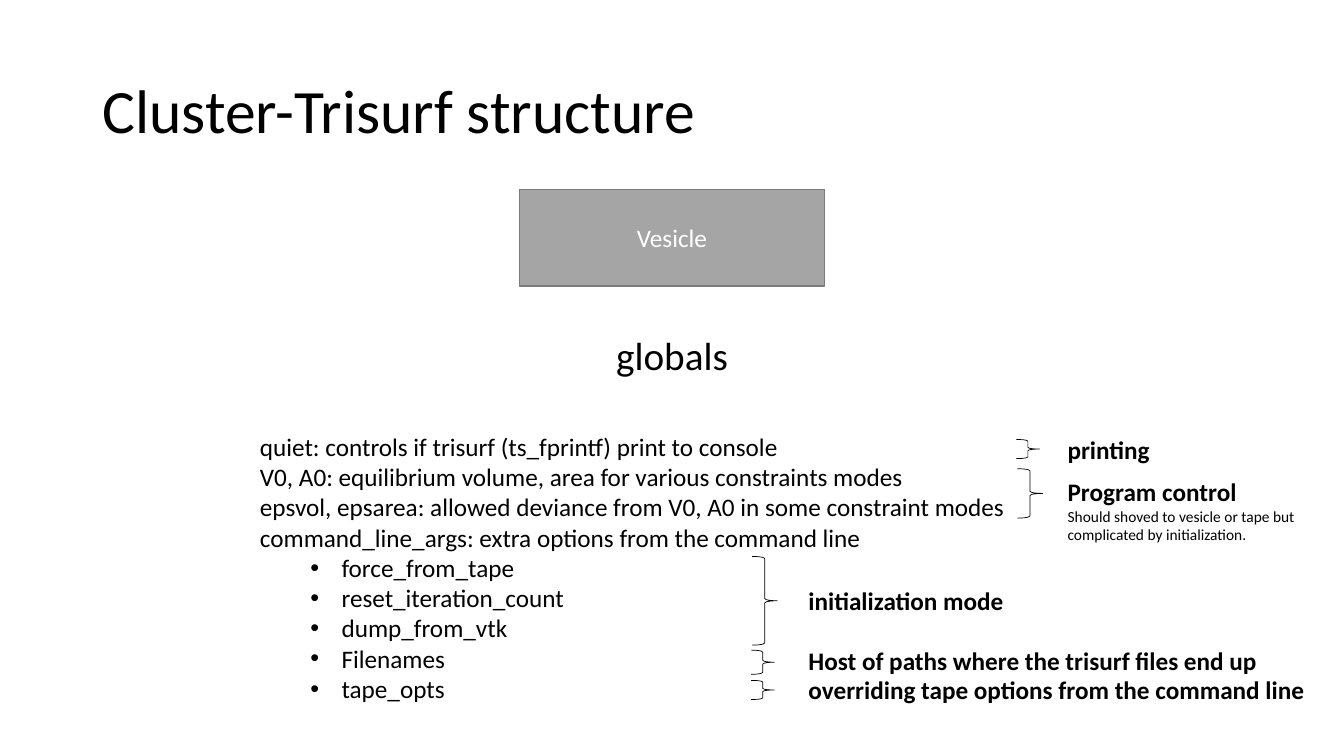
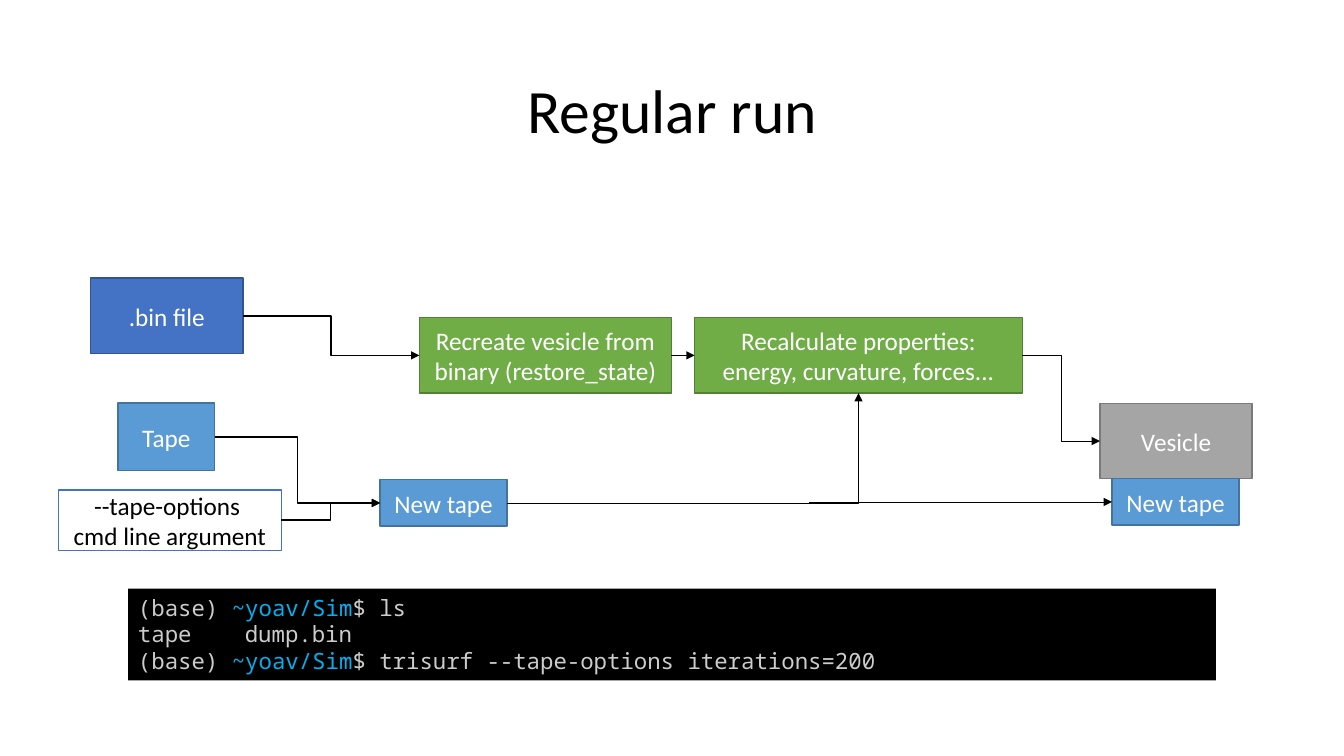
from dataclasses import dataclass
from lxml.etree import SubElement
from pptx import Presentation
from pptx.dml.color import RGBColor
from pptx.enum.shapes import MSO_CONNECTOR, MSO_SHAPE
from pptx.enum.text import MSO_ANCHOR, PP_ALIGN
from pptx.oxml import parse_xml
from pptx.oxml.ns import nsdecls, qn
from pptx.util import Inches, Pt


@dataclass(frozen=True)
class Theme:
    font: str = "Calibri"
    mono: str = "Noto Sans Mono"
    title: int = 44
    head: int = 28
    body: int = 18
    code: int = 16
    note: int = 11
    ink: str = "000000"
    white: str = "FFFFFF"
    text: str = "CCCCCC"
    prompt: str = "00B0F0"
    # Each box style is fill, outline, text colour
    gray: tuple = ("A5A5A5", "7A7A7A", "FFFFFF")
    blue: tuple = ("4472C4", "325491", "FFFFFF")
    sky: tuple = ("5B9BD5", "43739E", "FFFFFF")
    green: tuple = ("70AD47", "538035", "FFFFFF")
    plain: tuple = ("FFFFFF", "4472C4", "000000")


T = Theme()
RGB = RGBColor.from_string


def put_text(slide, spot, text, size=T.body, bold=False, align=PP_ALIGN.LEFT,
             anchor=MSO_ANCHOR.TOP, style=None):
    """Add text, set in a rectangle when a box style is given."""
    place = [Inches(n) for n in spot]
    ink = T.ink
    if style:
        fill, edge, ink = style
        shape = slide.shapes.add_shape(MSO_SHAPE.RECTANGLE, *place)
        shape.shadow.inherit = False
        shape.fill.solid()
        shape.fill.fore_color.rgb = RGB(fill)
        shape.line.color.rgb = RGB(edge)
        shape.line.width = Pt(1)
        align, anchor = PP_ALIGN.CENTER, MSO_ANCHOR.MIDDLE
    else:
        shape = slide.shapes.add_textbox(*place)
    frame = shape.text_frame
    frame.word_wrap = True
    frame.vertical_anchor = anchor
    frame.text = text
    for par in frame.paragraphs:
        par.alignment = align
        par.font.name = T.font
        par.font.size = Pt(size)
        par.font.bold = bold
        par.font.color.rgb = RGB(ink)
    return shape


deck = Presentation()
deck.slide_width, deck.slide_height = Inches(13.33), Inches(7.5)

# Both slides with their titles
pages = []
for title, align in (("Cluster-Trisurf structure", PP_ALIGN.LEFT),
                     ("Regular run", PP_ALIGN.CENTER)):
    page = deck.slides.add_slide(deck.slide_layouts[6])
    head = put_text(page, (0.92, 0.4, 11.5, 1.45), title, T.title,
                    align=align, anchor=MSO_ANCHOR.MIDDLE)
    head.text_frame.paragraphs[0].line_spacing = 0.9
    pages.append(page)
parts, run = pages

# Slide 1: vesicle and its globals
put_text(parts, (5.15, 1.88, 3.03, 0.96), "Vesicle", style=T.gray)
put_text(parts, (5.66, 3.24, 2.01, 0.57), "globals", T.head, align=PP_ALIGN.CENTER)
fields = (
    "quiet: controls if trisurf (ts_fprintf) print to console",
    "V0, A0: equilibrium volume, area for various constraints modes",
    "epsvol, epsarea: allowed deviance from V0, A0 in some constraint modes",
    "command_line_args: extra options from the command line",
)
args = ("force_from_tape", "reset_iteration_count", "dump_from_vtk",
        "Filenames", "tape_opts")
body = put_text(parts, (2.48, 4.23, 8.3, 3.13), "\n".join(fields + args))
for par in body.text_frame.paragraphs[len(fields):]:
    par.level = 1
    props = par._p.get_or_add_pPr()
    props.set("marL", str(Inches(0.81)))
    props.set("indent", str(-Inches(0.31)))
    props.insert(0, parse_xml(f'<a:buFont {nsdecls("a")} typeface="Arial"/>'))
    props.insert(1, parse_xml(f'<a:buChar {nsdecls("a")} char="•"/>'))

# Braces that group the fields
for spot in ((10.08, 4.36, 0.23, 0.19), (10.09, 4.65, 0.25, 0.49),
             (7.46, 5.52, 0.25, 0.88), (7.45, 6.45, 0.23, 0.24),
             (7.45, 6.75, 0.23, 0.19)):
    brace = parts.shapes.add_shape(MSO_SHAPE.RIGHT_BRACE, *[Inches(n) for n in spot])
    brace.shadow.inherit = False
    brace.fill.background()
    brace.line.color.rgb = RGB(T.ink)
    brace.line.width = Pt(0.5)

# Labels beside the braces
for spot, text in (
    ((10.49, 4.26, 2.64, 0.4), "printing"),
    ((7.92, 5.76, 2.64, 0.4), "initialization mode"),
    ((7.92, 6.35, 5.5, 0.4), "Host of paths where the trisurf files end up"),
    ((7.92, 6.64, 5.5, 0.4), "overriding tape options from the command line"),
):
    put_text(parts, spot, text, bold=True)
label = put_text(parts, (10.49, 4.68, 2.75, 0.77),
                 "Program control\nShould shoved to vesicle or tape but "
                 "complicated by initialization.", bold=True)
note = label.text_frame.paragraphs[1]
note.font.size, note.font.bold = Pt(T.note), False

# Slide 2: boxes of the flow
boxes = {}
for key, spot, text, style in (
    ("bin", (0.9, 2.76, 1.51, 0.75), ".bin file", T.blue),
    ("tape", (1.17, 4, 0.96, 0.67), "Tape", T.sky),
    ("args", (0.58, 4.86, 2.21, 0.6), "--tape-options \ncmd line argument", T.plain),
    ("vesicle", (10.91, 4, 1.51, 0.75), "Vesicle", T.gray),
    ("new", (3.77, 4.76, 1.26, 0.46), "New tape", T.sky),
    ("final", (11.03, 4.75, 1.26, 0.46), "New tape", T.sky),
    ("load", (4.16, 3.15, 2.5, 0.75),
     "Recreate vesicle from binary (restore_state)", T.green),
    ("calc", (6.89, 3.15, 3.25, 0.75),
     "Recalculate properties: energy, curvature, forces...", T.green),
):
    boxes[key] = put_text(run, spot, text, style=style)

# Arrows, from the right side of one box to a side of the next
LEFT, BOTTOM, RIGHT = 1, 2, 3
for start, end, side, width in (
    ("args", "new", LEFT, 1), ("tape", "new", LEFT, 1), ("bin", "load", LEFT, 1),
    ("load", "calc", LEFT, 0.5), ("calc", "vesicle", LEFT, 0.5),
    ("new", "final", LEFT, 0.5), ("new", "calc", BOTTOM, 0.5),
):
    link = run.shapes.add_connector(MSO_CONNECTOR.ELBOW, 0, 0, 0, 0)
    link.begin_connect(boxes[start], RIGHT)
    link.end_connect(boxes[end], side)
    link.line.color.rgb = RGB(T.ink)
    link.line.width = Pt(width)
    props = link.element.spPr
    if side == BOTTOM:
        props.find(qn("a:prstGeom")).set("prst", "bentConnector2")
    SubElement(props.find(qn("a:ln")), qn("a:tailEnd"), type="triangle")
    SubElement(props, qn("a:effectLst"))

# Terminal session
shell = put_text(run, (1.27, 5.84, 10.79, 0.91), "\n\n",
                 style=(T.ink, T.ink, T.text))
shell.line.fill.background()
shell.text_frame.vertical_anchor = MSO_ANCHOR.TOP
prompt = [("(base) ", T.text), ("~yoav/Sim", T.prompt)]
lines = (
    prompt + [("$ ls", T.text)],
    [("tape\tdump.bin", T.text)],
    prompt + [("$ trisurf --tape-options iterations=200", T.text)],
)
for par, line in zip(shell.text_frame.paragraphs, lines):
    par.alignment = PP_ALIGN.LEFT
    par.font.name, par.font.size = T.mono, Pt(T.code)
    for text, color in line:
        piece = par.add_run()
        piece.text = text
        piece.font.color.rgb = RGB(color)
    par._p.get_or_add_pPr().insert(0, parse_xml(
        f'<a:tabLst {nsdecls("a")}><a:tab pos="{Inches(1.06)}" algn="l"/></a:tabLst>'))

deck.save("out.pptx")
